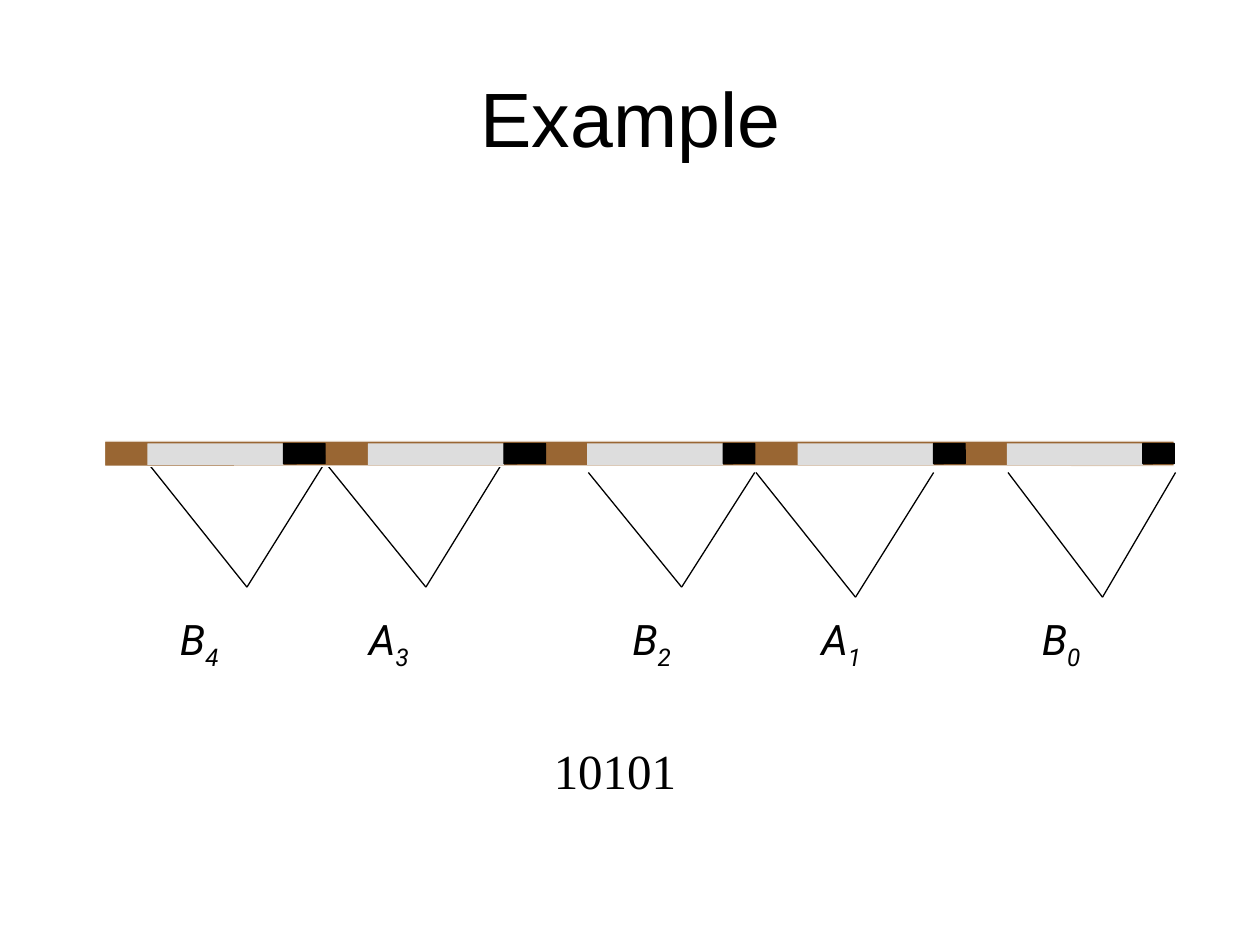
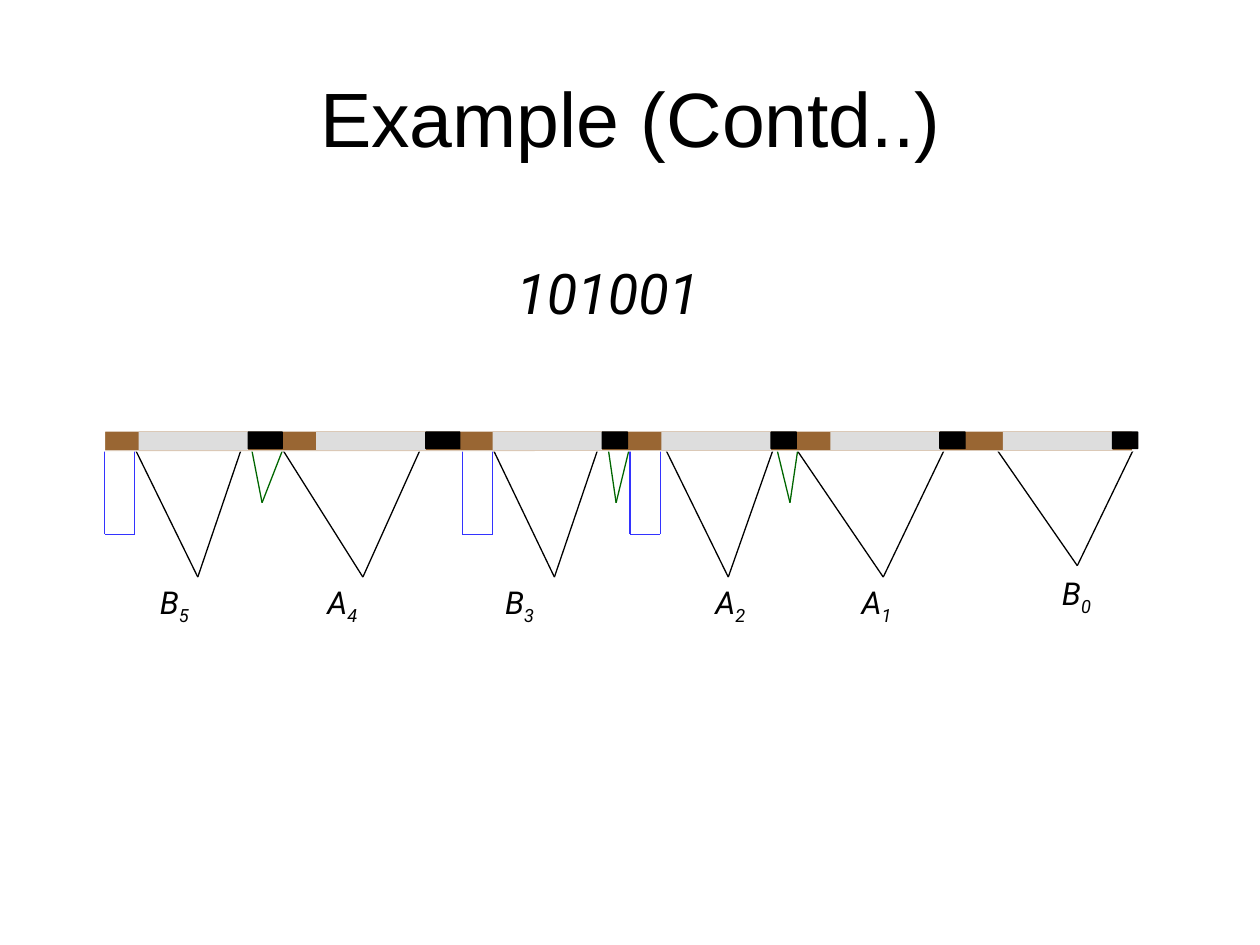
from lxml import etree
from pptx import Presentation
from pptx.dml.color import RGBColor
from pptx.enum.shapes import MSO_CONNECTOR, MSO_SHAPE
from pptx.enum.text import MSO_ANCHOR, MSO_AUTO_SIZE, PP_ALIGN
from pptx.oxml.ns import qn
from pptx.util import Inches, Pt

STRAIGHT = MSO_CONNECTOR.STRAIGHT
ROUNDED = MSO_SHAPE.ROUNDED_RECTANGLE
CENTER, LEFT = PP_ALIGN.CENTER, PP_ALIGN.LEFT

COLORS = {"text": "000000", "paper": "FFFFFF", "lead": "996633",
          "body": "DDDDDD", "tail": "000000", "pointer": "000000",
          "lead_mark": "3333FF", "tail_mark": "006600"}
LINE_WIDTH = 0.75
TITLE_BOX = (0.5, 0.3, 9.01, 1.26)

# Each tile: letter, index, label (left, top), body left, tail width,
# pointer (left x, tip x, right x, top y, tip y)
EXAMPLE = {
    "title": "Example",
    "code": {"text": "10101", "box": (2.17, 5.83, 5.42, 0.57), "size": 28,
             "font": "Times New Roman", "italic": False, "align": CENTER,
             "before": 17.5, "spacing": 1.0},
    "label": {"size": 24, "before": 15, "width": 0.92, "height": 0.4},
    "strip": {"box": (0.83, 3.5, 8.49, 0.2), "tile_top": 3.52,
              "body": (1.08, 0.17), "tail_height": 0.16},
    "tiles": [
        ("B", 4, (1.33, 4.92), 1.17, 0.33, (1.17, 1.96, 2.58, 3.67, 4.66)),
        ("A", 3, (2.83, 4.92), 2.92, 0.33, (2.58, 3.38, 3.99, 3.67, 4.66)),
        ("B", 2, (4.92, 4.92), 4.66, 0.25, (4.67, 5.41, 5.99, 3.75, 4.66)),
        ("A", 1, (6.42, 4.92), 6.33, 0.25, (6.0, 6.79, 7.41, 3.75, 4.74)),
        ("B", 0, (8.17, 4.92), 7.99, 0.25, (8.0, 8.75, 9.33, 3.75, 4.74)),
    ],
    "lead_marks": [],
    "tail_marks": [],
}
CONTINUED = {
    "title": "Example (Contd..)",
    "code": {"text": "101001", "box": (4, 2.17, 3.92, 0.45), "size": 32,
             "font": "Roboto", "italic": True, "align": LEFT,
             "before": 20, "spacing": 0.65},
    "label": {"size": 18, "before": 11.2, "width": 0.75, "height": 0.32},
    "strip": {"box": (0.83, 3.42, 8.16, 0.16), "tile_top": 3.43,
              "body": (0.87, 0.14), "tail_height": 0.13},
    "tiles": [
        ("B", 5, (1.17, 4.65), 1.1, 0.27, (1.08, 1.57, 1.91, 3.58, 4.58)),
        ("A", 4, (2.5, 4.65), 2.51, 0.27, (2.25, 2.88, 3.33, 3.58, 4.58)),
        ("B", 3, (3.91, 4.65), 3.91, 0.2, (3.92, 4.4, 4.74, 3.58, 4.58)),
        ("A", 2, (5.58, 4.65), 5.25, 0.2, (5.25, 5.78, 6.16, 3.5, 4.58)),
        ("A", 1, (6.74, 4.65), 6.59, 0.2, (6.33, 7.01, 7.49, 3.58, 4.58)),
        ("B", 0, (8.33, 4.58), 7.96, 0.2, (7.92, 8.55, 8.99, 3.58, 4.49)),
    ],
    "lead_marks": [0.83, 3.67, 5.0],
    "tail_marks": [(2.0, 2.08, 2.24), (4.83, 4.89, 4.99), (6.17, 6.27, 6.33)],
}
MARK_TOP, LEAD_MARK_BOTTOM, TAIL_MARK_TIP = 3.58, 4.24, 3.99
LEAD_MARK_WIDTH = 0.24


def color(name):
    return RGBColor.from_string(COLORS[name])


def set_font(paragraph, size, font, italic=False):
    paragraph.font.size = Pt(size)
    paragraph.font.name = font
    paragraph.font.italic = italic
    paragraph.font.color.rgb = color("text")


def add_title(slide, text):
    title = slide.shapes.title
    title.left, title.top, title.width, title.height = map(Inches, TITLE_BOX)
    title.text_frame.text = text
    title.text_frame.vertical_anchor = MSO_ANCHOR.MIDDLE
    paragraph = title.text_frame.paragraphs[0]
    paragraph.alignment = CENTER
    set_font(paragraph, 44, "Arial")


def add_text(slide, box, size, font, italic, align, before, spacing):
    """Add a one-line text box and return its empty paragraph."""
    frame = slide.shapes.add_textbox(*map(Inches, box)).text_frame
    frame.word_wrap = True
    frame.auto_size = MSO_AUTO_SIZE.SHAPE_TO_FIT_TEXT
    paragraph = frame.paragraphs[0]
    paragraph.alignment = align
    paragraph.space_before = Pt(before)
    paragraph.line_spacing = spacing
    set_font(paragraph, size, font, italic)
    return paragraph


def add_code(slide, text, **style):
    add_text(slide, **style).add_run().text = text


def add_label(slide, letter, index, corner, style):
    paragraph = add_text(slide, (*corner, style["width"], style["height"]),
                         style["size"], "Roboto", True, LEFT,
                         style["before"], 0.65)
    paragraph.add_run().text = letter
    subscript = paragraph.add_run()
    subscript.text = str(index)
    subscript.font._element.set("baseline", "-25000")


def add_polyline(slide, points, color_name):
    """Join successive points with straight lines in one group."""
    group = slide.shapes.add_group_shape()
    for start, end in zip(points, points[1:]):
        line = group.shapes.add_connector(STRAIGHT, *map(Inches, start + end))
        line.line.color.rgb = color(color_name)
        line.line.width = Pt(LINE_WIDTH)
        etree.SubElement(line._element.spPr, qn("a:effectLst"))


def add_vee(slide, left, tip, right, top, bottom, color_name):
    add_polyline(slide, [(left, top), (tip, bottom), (right, top)], color_name)


def add_block(group, box, fill, outline=None):
    block = group.shapes.add_shape(ROUNDED, *map(Inches, box))
    block.adjustments[0] = 0.01
    block.shadow.inherit = False
    block.fill.solid()
    block.fill.fore_color.rgb = color(fill)
    if outline:
        block.line.color.rgb = color(outline)
        block.line.width = Pt(LINE_WIDTH)
    else:
        block.line.fill.background()


def add_strip(slide, strip, tiles):
    group = slide.shapes.add_group_shape()
    add_block(group, strip["box"], "lead", "paper")
    top, (body_width, body_height) = strip["tile_top"], strip["body"]
    for *_, left, tail_width, _ in tiles:
        add_block(group, (left, top, body_width, body_height), "body")
        add_block(group, (left + body_width, top, tail_width,
                          strip["tail_height"]), "tail", "tail")


def build_slide(deck, content):
    slide = deck.slides.add_slide(deck.slide_layouts[5])
    add_title(slide, content["title"])
    add_code(slide, **content["code"])
    for *_, pointer in content["tiles"]:
        add_vee(slide, *pointer, "pointer")
    for left in content["lead_marks"]:
        right = left + LEAD_MARK_WIDTH
        add_polyline(slide, [(left, MARK_TOP), (left, LEAD_MARK_BOTTOM),
                             (right, LEAD_MARK_BOTTOM), (right, MARK_TOP)],
                     "lead_mark")
    for corners in content["tail_marks"]:
        add_vee(slide, *corners, MARK_TOP, TAIL_MARK_TIP, "tail_mark")
    for letter, index, corner, *_ in content["tiles"]:
        add_label(slide, letter, index, corner, content["label"])
    add_strip(slide, content["strip"], content["tiles"])


def main():
    deck = Presentation()
    deck.slide_width, deck.slide_height = Inches(10), Inches(7.5)
    for content in (EXAMPLE, CONTINUED):
        build_slide(deck, content)
    deck.save("out.pptx")


if __name__ == "__main__":
    main()
